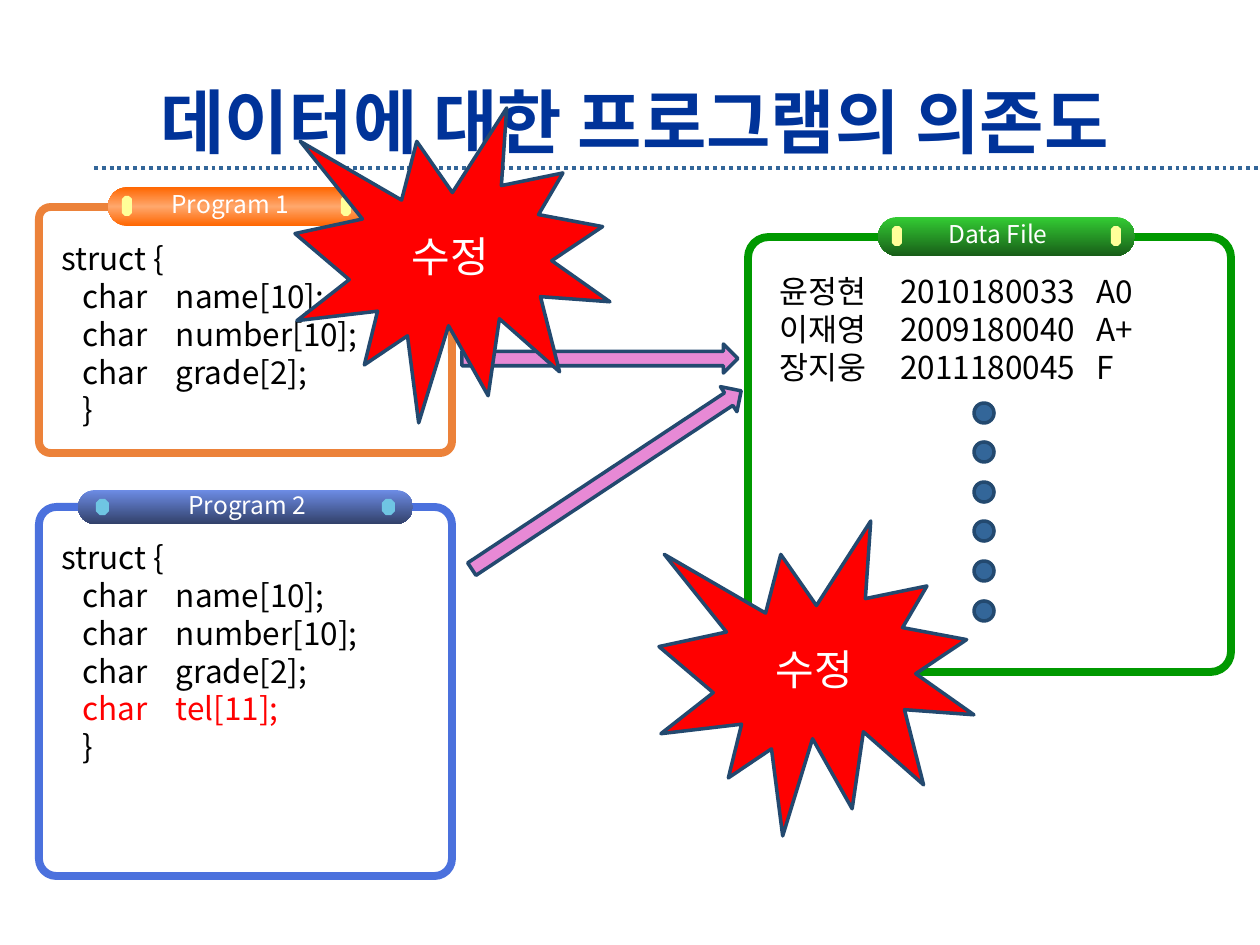
from dataclasses import dataclass
from lxml.etree import SubElement
from pptx import Presentation
from pptx.dml.color import RGBColor
from pptx.enum.dml import MSO_LINE
from pptx.enum.shapes import MSO_CONNECTOR, MSO_SHAPE
from pptx.enum.text import MSO_ANCHOR, MSO_AUTO_SIZE, PP_ALIGN
from pptx.oxml.ns import qn
from pptx.util import Emu, Pt


@dataclass(frozen=True)
class Theme:
    sans: str = "Noto Sans CJK KR"
    code: str = "Noto Sans CJK JP"
    head: int = 40
    burst: int = 24
    body: int = 18
    label: int = 14
    title: str = "003399"
    ink: str = "000000"
    white: str = "FFFFFF"
    red: str = "FF0000"
    pink: str = "E789D5"
    blue: str = "336699"
    edge: str = "23496F"
    green: str = "009900"
    orange: str = "EC823A"
    royal: str = "4B71DD"
    cream: str = "FFFF99"
    sky: str = "6FC5E3"
    leaf: tuple = ("33CC33", "185E18")
    flame: tuple = ("FF6600", "FFA76C", "FF6600")
    dusk: tuple = ("6D8CE5", "32416A")


LOOK = Theme()
SCALE = 914400 / 126


def px(n):
    return Emu(round(n * SCALE))


def color(code):
    return RGBColor.from_string(code)


def style(para, size, tint, face=LOOK.sans, bold=False):
    for run in para.runs:
        font = run.font
        font.size = Pt(size)
        font.bold = bold
        font.color.rgb = color(tint)
        font.name = face
        SubElement(run._r.get_or_add_rPr(), qn("a:ea"), typeface=face)


def add_shape(slide, kind, box, fill=None, line=None, width=2):
    shape = slide.shapes.add_shape(kind, *map(px, box))
    shape.shadow.inherit = False
    if fill:
        shape.fill.solid()
        shape.fill.fore_color.rgb = color(fill)
    else:
        shape.fill.background()
    if line:
        shape.line.color.rgb = color(line)
        shape.line.width = Pt(width)
    else:
        shape.line.fill.background()
    return shape


def add_text(slide, box, lines, size, tint, face, wrap=True, tabs=(), marks=()):
    area = slide.shapes.add_textbox(*map(px, box))
    frame = area.text_frame
    frame.word_wrap = wrap
    frame.auto_size = MSO_AUTO_SIZE.SHAPE_TO_FIT_TEXT
    frame.text = "\n".join(lines)
    for row, para in enumerate(frame.paragraphs):
        if tabs:
            stops = SubElement(para._p.get_or_add_pPr(), qn("a:tabLst"))
            for stop in tabs:
                SubElement(stops, qn("a:tab"), pos=str(px(stop)), algn="l")
        style(para, size, LOOK.red if row in marks else tint, face)


def add_pill(slide, box, tints):
    pill = add_shape(slide, MSO_SHAPE.ROUNDED_RECTANGLE, box)
    pill.adjustments[0] = 0.5
    pill.fill.gradient()
    pill.fill.gradient_angle = 270
    stops = pill._element.spPr.find(".//" + qn("a:gsLst"))
    for stop in list(stops):
        stops.remove(stop)
    for n, tint in enumerate(tints):
        pos = str(n * 100000 // (len(tints) - 1))
        stop = SubElement(stops, qn("a:gs"), pos=pos)
        SubElement(stop, qn("a:srgbClr"), val=tint)


def add_panel(slide, box, line, pill, tints, stud, inset, tint, name, label):
    panel = add_shape(slide, MSO_SHAPE.ROUNDED_RECTANGLE, box, line=line, width=4.5)
    panel.adjustments[0] = 0.047
    add_pill(slide, pill, tints)
    left, top, wide, high = pill
    w, h = stud
    y = top + (high - h) // 2
    for x in (left + inset, left + wide - inset - w):
        add_shape(slide, MSO_SHAPE.OCTAGON, (x, y, w, h), tint)
    x, w = label
    add_text(slide, (x, top + high // 2 - 23, w, 43), [name],
             LOOK.label, LOOK.white, LOOK.sans, wrap=False)


def add_dots(slide, x, top, bottom, count, size):
    for n in range(count):
        y = top + n * (bottom - top) // (count - 1)
        add_shape(slide, MSO_SHAPE.OVAL, (x, y, size, size), LOOK.blue, LOOK.edge)


def add_arrow(slide, box, turn=0):
    arrow = add_shape(slide, MSO_SHAPE.RIGHT_ARROW, box, LOOK.pink, LOOK.edge)
    arrow.rotation = turn


def add_burst(slide, x, y, size, word):
    burst = add_shape(slide, MSO_SHAPE.EXPLOSION1, (x, y, size, size), LOOK.red, LOOK.edge)
    frame = burst.text_frame
    frame.text = word
    frame.vertical_anchor = MSO_ANCHOR.MIDDLE
    para = frame.paragraphs[0]
    para.alignment = PP_ALIGN.CENTER
    style(para, LOOK.burst, LOOK.white)


def add_title(slide, box, words):
    title = slide.shapes.title
    title.left, title.top, title.width, title.height = map(px, box)
    frame = title.text_frame
    frame.text = words
    frame.auto_size = MSO_AUTO_SIZE.NONE
    frame.vertical_anchor = MSO_ANCHOR.MIDDLE
    para = frame.paragraphs[0]
    para.alignment = PP_ALIGN.CENTER
    style(para, LOOK.head, LOOK.title, bold=True)


def add_rule(slide, start, end, y):
    rule = slide.shapes.add_connector(MSO_CONNECTOR.STRAIGHT, px(start), px(y), px(end), px(y))
    rule.line.color.rgb = color(LOOK.blue)
    rule.line.width = Pt(2.25)
    rule.line.dash_style = MSO_LINE.ROUND_DOT
    SubElement(rule._element.spPr, qn("a:effectLst"))


def main():
    deck = Presentation()
    deck.slide_width, deck.slide_height = px(1260), px(945)
    slide = deck.slides.add_slide(deck.slide_layouts[5])
    add_rule(slide, 94, 1260, 168)
    add_title(slide, (94, 84, 1081, 73), "데이터에 대한 프로그램의 의존도")

    fields = ["struct {", "   char    name[10];", "   char    number[10];",
              "   char    grade[2];"]
    close = "   }"
    rows = ["윤정현\t2010180033\tA0", "이재영\t2009180040\tA+", "장지웅\t2011180045\tF"]

    add_panel(slide, (748, 237, 483, 435), LOOK.green, (878, 217, 257, 39), LOOK.leaf,
              (10, 20), 14, LOOK.cream, "Data File", (936, 125))
    add_panel(slide, (39, 207, 413, 246), LOOK.orange, (108, 187, 257, 39), LOOK.flame,
              (10, 20), 14, LOOK.cream, "Program 1", (159, 147))
    add_text(slide, (49, 233, 393, 202), fields + [close], LOOK.body, LOOK.ink, LOOK.code)
    add_text(slide, (767, 266, 452, 164), rows, LOOK.body, LOOK.ink, LOOK.code,
             tabs=(121, 317))
    add_dots(slide, 974, 403, 601, 6, 20)
    add_panel(slide, (39, 507, 413, 369), LOOK.royal, (78, 490, 335, 34), LOOK.dusk,
              (13, 16), 18, LOOK.sky, "Program 2", (176, 147))
    add_text(slide, (49, 532, 394, 239), fields + ["   char    tel[11];", close],
             LOOK.body, LOOK.ink, LOOK.code, marks=(4,))

    add_arrow(slide, (462, 344, 276, 29))
    add_arrow(slide, (445, 465, 323, 30), 326.5)
    add_burst(slide, 659, 521, 315, "수정")
    add_burst(slide, 295, 108, 315, "수정")
    deck.save("out.pptx")


if __name__ == "__main__":
    main()
